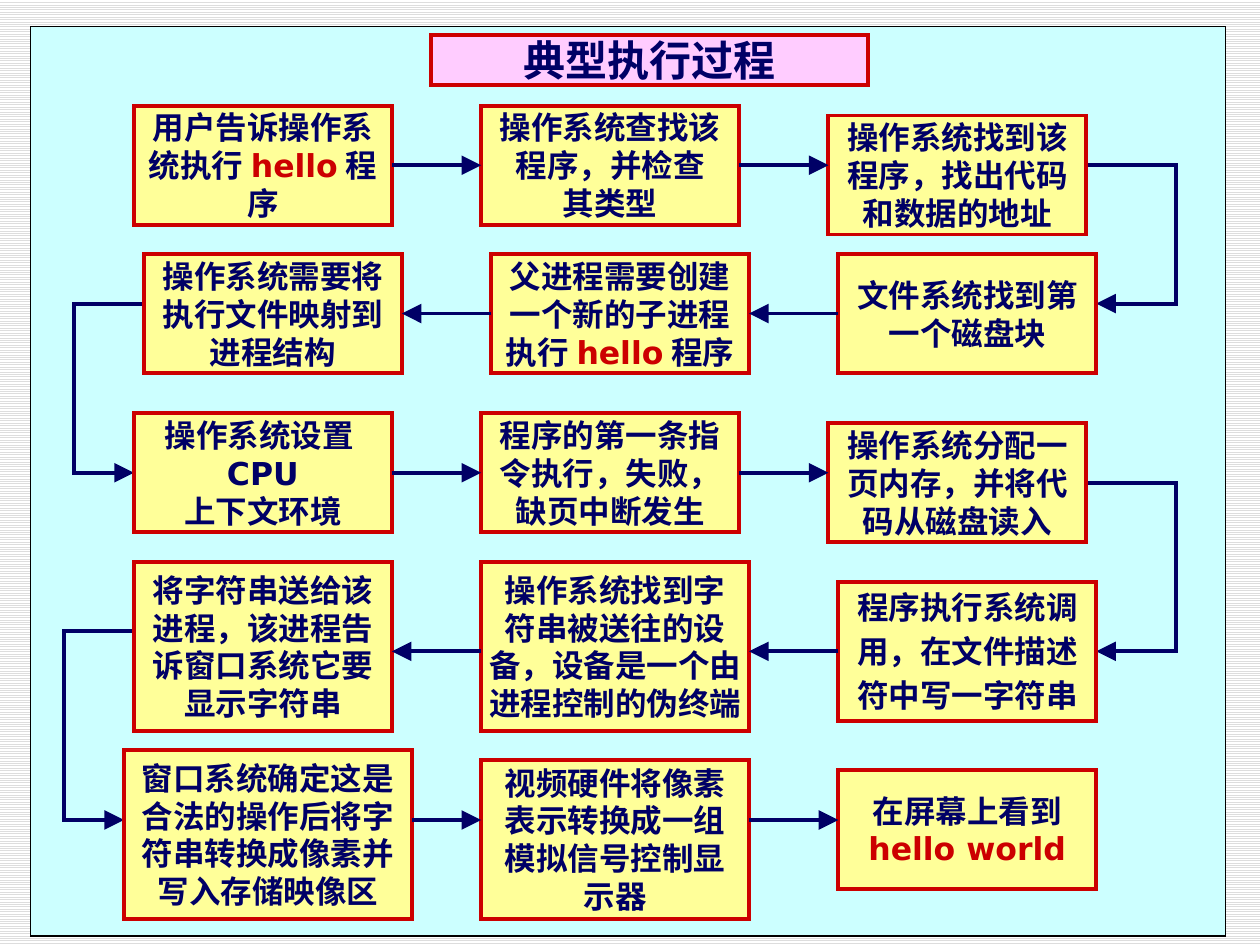
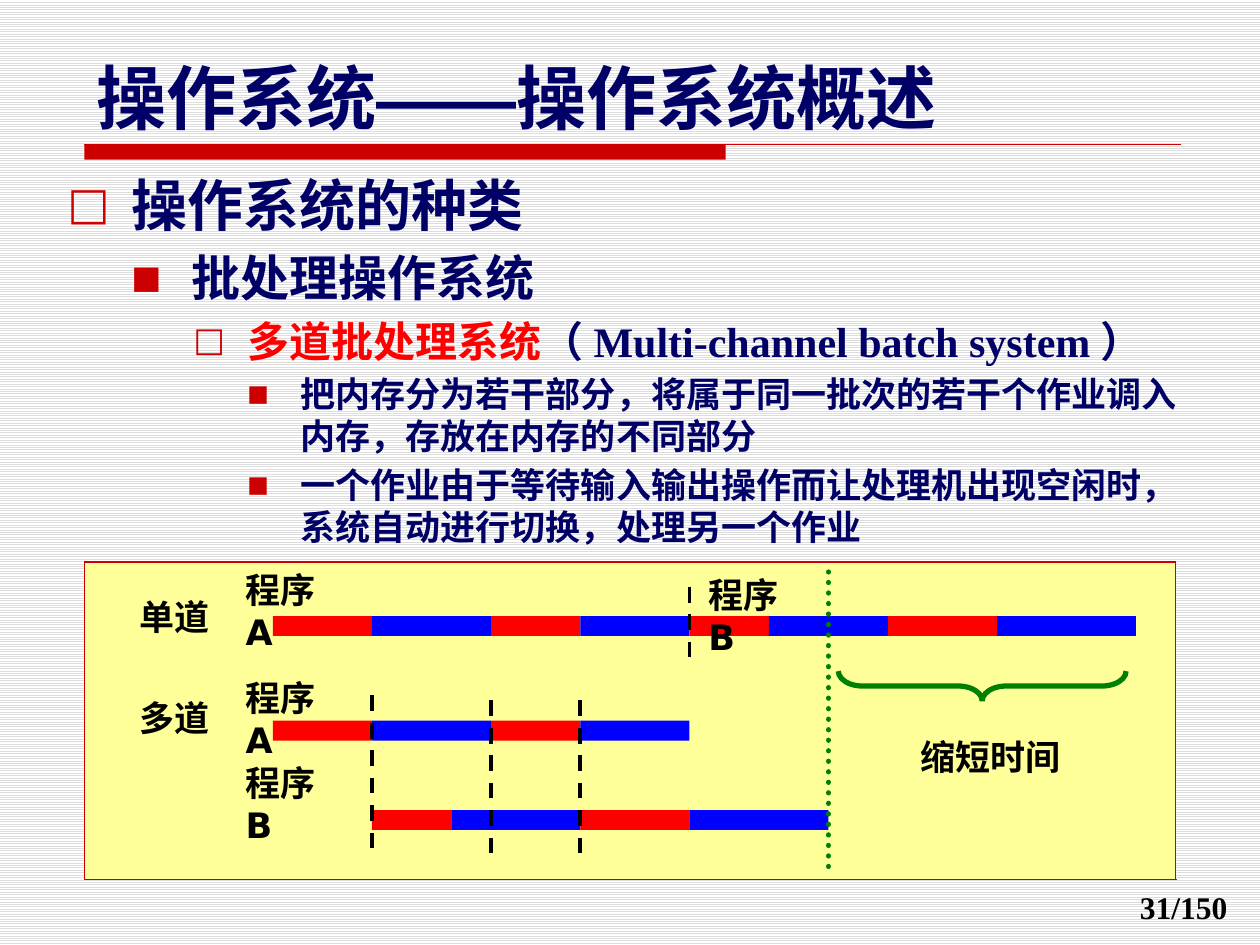
import pptx
import pptx.util
import pptx.dml.color
import pptx.enum.dml
import pptx.enum.shapes
import pptx.enum.text
import pptx.oxml
import pptx.oxml.ns
from itertools import pairwise

Cm, Pt = pptx.util.Cm, pptx.util.Pt
SHAPE = pptx.enum.shapes.MSO_SHAPE
ALIGN = pptx.enum.text.PP_ALIGN
ANCHOR = pptx.enum.text.MSO_ANCHOR
DASH = pptx.enum.dml.MSO_LINE
qn = pptx.oxml.ns.qn

SANS, SERIF = "DejaVu Sans", "Times New Roman"
NAVY, CRIMSON, YELLOW, CYAN, PINK = "000066", "CC0000", "FFFF99", "CCFFFF", "FFCCFF"
RED, BLUE, GREEN, BLACK = "FF0000", "0000FF", "008000", "000000"

STEPS = [
    (3.33, [
        (2.7, 2.13, 5.2, 2.4, ["用户告诉操作系统执行|hello|程序"]),
        (9.7, 2.13, 5.2, 2.4, ["操作系统查找该程序，并检查", "其类型"]),
        (16.7, 2.33, 5.2, 2.4, ["操作系统找到该程序，找出代码和数据的地址"]),
    ]),
    (6.32, [
        (16.9, 5.13, 5.2, 2.4, ["文件系统找到第一个磁盘块"]),
        (9.9, 5.13, 5.2, 2.4, ["父进程需要创建一个新的子进程执行|hello|程序"], 0.1),
        (2.9, 5.13, 5.2, 2.4, ["操作系统需要将执行文件映射到进程结构"]),
    ]),
    (9.53, [
        (2.7, 8.33, 5.2, 2.4, ["操作系统设置CPU", "上下文环境"]),
        (9.7, 8.33, 5.2, 2.4, ["程序的第一条指令执行，失败，缺页中断发生"]),
        (16.7, 8.53, 5.2, 2.4, ["操作系统分配一", "页内存，并将代码从磁盘读入"]),
    ]),
    (13.13, [
        (16.9, 11.73, 5.2, 2.8, ["程序执行系统调", "用，在文件描述", "符中写一字符串"], 0.25, 3.6),
        (9.7, 11.33, 5.4, 3.4, ["操作系统找到字", "符串被送往的设备，设备是一个由进程控制的伪终端"], 0.05),
        (2.7, 11.33, 5.2, 3.4, ["将字符串送给该进程，该进程告诉窗口系统它要显示字符串"]),
    ]),
    (16.53, [
        (2.5, 15.12, 5.8, 3.4, ["窗口系统确定这是合法的操作后将字符串转换成像素并写入存储映像区"]),
        (9.7, 15.32, 5.4, 3.2, ["视频硬件将像素表示转换成一组模拟信号控制显示器"]),
        (16.9, 15.52, 5.2, 2.4, ["在屏幕上看到", "|hello world"]),
    ]),
]

ROW_TURNS = [
    (21.9, 3.33, 23.7, 6.12, 22.1),
    (2.9, 6.12, 1.5, 9.53, 2.7),
    (21.9, 9.73, 23.7, 13.13, 22.1),
    (2.7, 12.73, 1.3, 16.53, 2.5),
]

OUTLINE = [
    (32, 1.3, 1.3, "□", [("操作系统的种类", NAVY, SANS)]),
    (28, 2.51, 1.22, "■", [("批处理操作系统", NAVY, SANS)]),
    (24, 3.63, 1.09, "□", [
        ("多道批处理系统", RED, SANS),
        ("（", NAVY, SANS),
        ("Multi-channel batch system", NAVY, SERIF),
        ("）", NAVY, SANS),
    ]),
    (20, 4.7, 1.07, "■", [("把内存分为若干部分，将属于同一批次的若干个作业调入内存，存放在内存的不同部分", NAVY, SANS)]),
    (20, 4.7, 1.07, "■", [("一个作业由于等待输入输出操作而让处理机出现空闲时，系统自动进行切换，处理另一个作业", NAVY, SANS)]),
]
BULLET_SIZE = {"□": 80, "■": 65}

JOB_A = [2, 2.4, 1.8, 2.2]
JOB_B = [1.6, 2.4, 2.2, 2.8]
JOB_B_SHARED = [1.6, 2.6, 2.2, 2.8]


def rgb(value):
    return pptx.dml.color.RGBColor.from_string(value)


def xml(tag, **attrs):
    el = pptx.oxml.parse_xml(f'<a:{tag} {pptx.oxml.ns.nsdecls("a")}/>')
    for name, value in attrs.items():
        el.set(name, value)
    return el


def add_run(p, text, size, color=NAVY, font=SANS):
    r = p.add_run()
    r.text = text
    r.font.size, r.font.bold, r.font.name = Pt(size), True, font
    r.font.color.rgb = rgb(color)
    r.font._element.find(qn("a:latin")).addnext(xml("ea", typeface=font))


def place(sp, x, y, w, h):
    sp.left, sp.top, sp.width, sp.height = Cm(x), Cm(y), Cm(w), Cm(h)


def get_ln(sp):
    return sp.line._get_or_add_ln()


def paint(sp, fill=None, line=None, width=2.25):
    if fill:
        sp.fill.solid()
        sp.fill.fore_color.rgb = rgb(fill)
    else:
        sp.fill.background()
    if line:
        sp.line.color.rgb = rgb(line)
        sp.line.width = Pt(width)
        get_ln(sp).append(xml("miter", lim="800000"))
    else:
        sp.line.fill.background()


def add_box(s, x, y, w, h, fill=None, line=None, width=2.25, kind=SHAPE.RECTANGLE):
    sp = s.shapes.add_shape(kind, Cm(x), Cm(y), Cm(w), Cm(h))
    sp.shadow.inherit = False
    paint(sp, fill, line, width)
    return sp


def add_line(s, x1, y1, x2, y2, color, width=2.25, dash=None):
    cn = s.shapes.add_connector(
        pptx.enum.shapes.MSO_CONNECTOR.STRAIGHT, Cm(x1), Cm(y1), Cm(x2), Cm(y2))
    cn.line.color.rgb = rgb(color)
    cn.line.width = Pt(width)
    if dash:
        cn.line.dash_style = dash
    cn._element.spPr.append(xml("effectLst"))
    return cn


def add_arrowhead(sp):
    get_ln(sp).append(xml("tailEnd", type="triangle", w="lg", len="lg"))


def add_turn(s, x, y, out_x, end_y, end_x):
    fb = s.shapes.build_freeform(Cm(x), Cm(y))
    corners = [(out_x, y), (out_x, end_y), (end_x, end_y)]
    fb.add_line_segments([(Cm(cx), Cm(cy)) for cx, cy in corners], close=False)
    sp = fb.convert_to_shape()
    sp.shadow.inherit = False
    paint(sp, line=NAVY)
    add_arrowhead(sp)


def add_step(s, x, y, w, h, paragraphs, inset=0.25, before=0):
    tf = add_box(s, x, y, w, h, YELLOW, CRIMSON).text_frame
    tf.word_wrap = True
    tf.vertical_anchor = ANCHOR.MIDDLE
    tf.margin_left = tf.margin_right = Cm(inset)
    for i, text in enumerate(paragraphs):
        p = tf.add_paragraph() if i else tf.paragraphs[0]
        p.alignment = ALIGN.CENTER
        p.space_before = Pt(before)
        p._p.get_or_add_pPr().set("hangingPunct", "0")
        for j, part in enumerate(text.split("|")):
            if part:
                add_run(p, part, 18, CRIMSON if j % 2 else NAVY)


def add_label(s, x, y, w, text, size=20, font=SANS):
    tf = s.shapes.add_textbox(Cm(x), Cm(y), Cm(w), Cm(1.1)).text_frame
    tf.word_wrap = True
    add_run(tf.paragraphs[0], text, size, BLACK, font)


def set_title(s, x, y, w, h, align, size, runs):
    sp = s.shapes.title
    place(sp, x, y, w, h)
    tf = sp.text_frame
    tf.word_wrap = True
    tf.auto_size = pptx.enum.text.MSO_AUTO_SIZE.NONE
    tf.vertical_anchor = ANCHOR.MIDDLE
    p = tf.paragraphs[0]
    p.alignment = align
    for text, font in runs:
        add_run(p, text, size, NAVY, font)
    return sp


def add_outline(s, x, y, w, h):
    tf = s.shapes.add_textbox(Cm(x), Cm(y), Cm(w), Cm(h)).text_frame
    tf.word_wrap = True
    for i, (size, left, hang, bullet, runs) in enumerate(OUTLINE):
        p = tf.add_paragraph() if i else tf.paragraphs[0]
        p.space_before = Pt(size * 0.2)
        pPr = p._p.get_or_add_pPr()
        pPr.set("marL", str(Cm(left)))
        pPr.set("indent", str(-Cm(hang)))
        color = xml("buClr")
        color.append(xml("srgbClr", val=CRIMSON))
        pPr.append(color)
        pPr.append(xml("buSzPct", val=str(BULLET_SIZE[bullet] * 1000)))
        pPr.append(xml("buFont", typeface=SANS))
        pPr.append(xml("buChar", char=bullet))
        for text, run_color, font in runs:
            add_run(p, text, size, run_color, font)


def add_timeline(s, x, y, durations):
    for i, duration in enumerate(durations):
        add_box(s, x, y, duration, 0.4, BLUE if i % 2 else RED)
        x += duration


def set_background(master):
    fill = master.background.fill
    fill.patterned()
    fill.pattern = pptx.enum.dml.MSO_PATTERN.LIGHT_HORIZONTAL
    fill.fore_color.rgb = rgb("DDDDDD")
    fill.back_color.rgb = rgb("FFFFFF")


def build_flow(prs):
    s = prs.slides.add_slide(prs.slide_layouts[5])
    add_box(s, 0.61, 0.53, 24.1, 18.34, CYAN, BLACK, 0.75)
    for turn in ROW_TURNS:
        add_turn(s, *turn)
    for arrow_y, steps in STEPS:
        for step in steps:
            add_step(s, *step)
        for (x1, _, w1, *_), (x2, _, w2, *_) in pairwise(steps):
            start, end = (x1 + w1, x2) if x1 < x2 else (x1, x2 + w2)
            add_arrowhead(add_line(s, start, arrow_y, end, arrow_y, NAVY))
    title = set_title(s, 8.69, 0.71, 8.81, 1, ALIGN.CENTER, 24, [("典型执行过程", SANS)])
    paint(title, PINK, CRIMSON)
    title.element.getparent().append(title.element)


def build_batch(prs):
    s = prs.slides.add_slide(prs.slide_layouts[5])
    set_title(s, 1.7, 0.97, 18.2, 1.95, ALIGN.LEFT, 40,
              [("操作系统", SANS), ("——", "Arial"), ("操作系统概述", SANS)])
    add_box(s, 1.7, 2.92, 12.93, 0.3, CRIMSON)
    add_line(s, 1.7, 2.92, 23.8, 2.92, CRIMSON, 0.75)
    add_line(s, 1.7, 17.73, 23.72, 17.73, CRIMSON, 0.25)
    add_label(s, 22.73, 17.78, 2.4, "31/150", 18, SERIF)
    add_box(s, 1.7, 11.33, 22, 6.4, YELLOW, CRIMSON, 0.75)
    add_outline(s, 1.11, 3.32, 23.2, 13.2)

    add_timeline(s, 5.5, 12.42, JOB_A + JOB_B)
    add_timeline(s, 5.5, 14.53, JOB_A)
    add_timeline(s, 7.5, 16.33, JOB_B_SHARED)
    for x, top, bottom in [(13.9, 11.83, 13.43), (7.5, 14.02, 17.12),
                           (9.9, 14.12, 17.22), (11.7, 14.12, 17.22)]:
        add_line(s, x, top, x, bottom, BLACK, dash=DASH.DASH)
    for x, y, w, text in [(2.57, 11.89, 2, "单道"), (2.57, 13.92, 2, "多道"),
                          (4.7, 11.33, 2.46, "程序A"), (14.03, 11.43, 2.46, "程序B"),
                          (4.7, 13.52, 2.46, "程序A"), (4.7, 15.22, 2.46, "程序B"),
                          (18.3, 14.7, 3.4, "缩短时间")]:
        add_label(s, x, y, w, text)
    limit = add_line(s, 16.7, 11.53, 16.7, 17.53, GREEN, 3, DASH.ROUND_DOT)
    get_ln(limit).set("cap", "rnd")
    brace = add_box(s, 19.5, 10.93, 0.6, 5.8, None, GREEN, 3, SHAPE.RIGHT_BRACE)
    brace.rotation = 90
    brace.adjustments[0] = 0.81


def main():
    prs = pptx.Presentation()
    prs.slide_width, prs.slide_height = Cm(25.4), Cm(19.05)
    set_background(prs.slide_master)
    build_flow(prs)
    build_batch(prs)
    prs.save("out.pptx")


if __name__ == "__main__":
    main()
